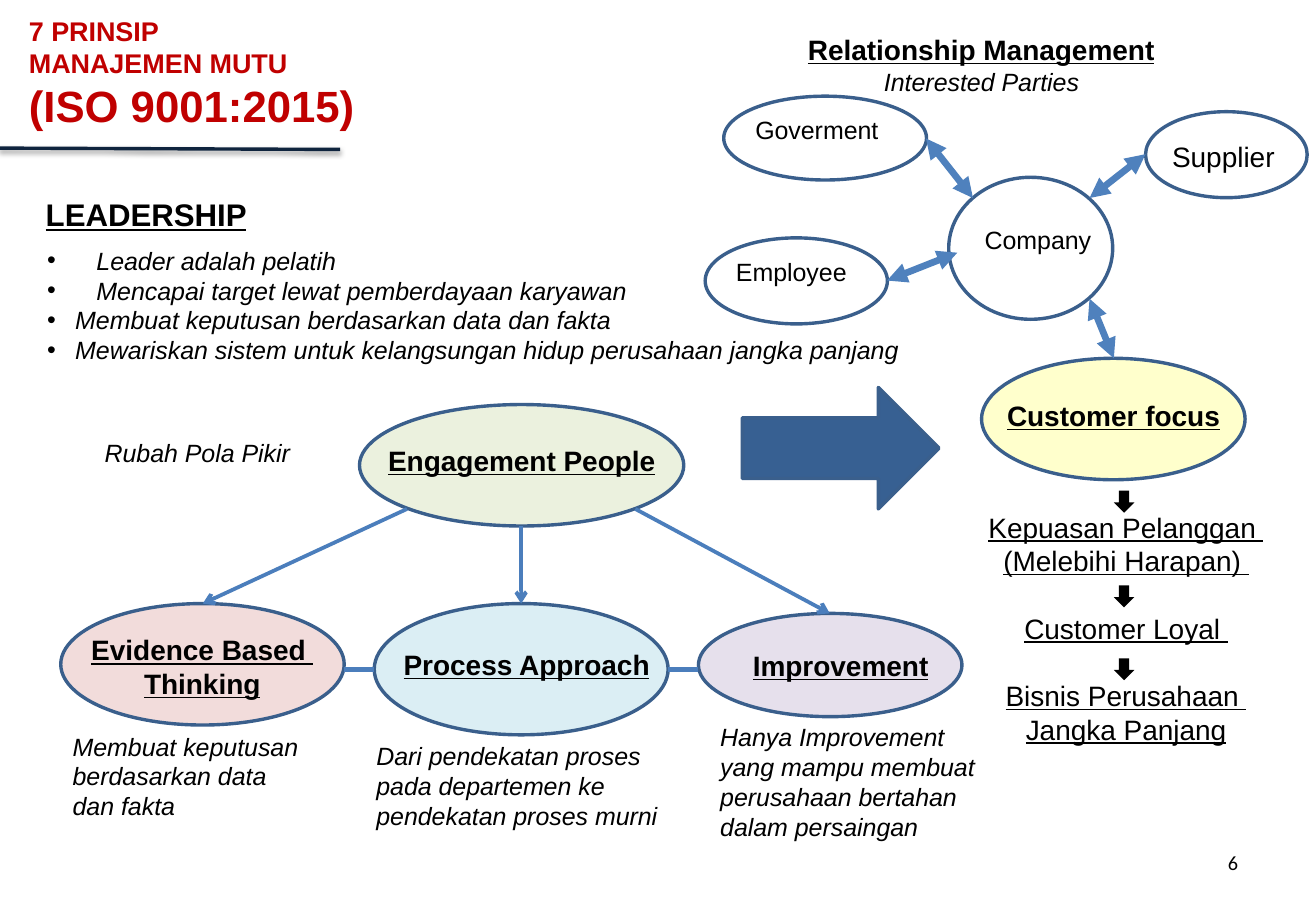
from lxml.etree import SubElement
from pptx import Presentation
from pptx.dml.color import RGBColor
from pptx.enum.shapes import MSO_CONNECTOR, MSO_SHAPE
from pptx.enum.text import PP_ALIGN
from pptx.oxml.ns import qn
from pptx.util import Pt

prs = Presentation()
prs.slide_width, prs.slide_height = Pt(780), Pt(540)
s = prs.slides.add_slide(prs.slide_layouts[6])

LEFT, CENTER, RIGHT = PP_ALIGN.LEFT, PP_ALIGN.CENTER, PP_ALIGN.RIGHT
OUTLINE, LINK, THICK_LINK = "3A5F8C", "4B7EBC", "4F81BD"


def paint(color_format, color):
    color_format.rgb = RGBColor.from_string(color)


def add_text(text, x, y, w, h, size=14.8, align=LEFT, bold=False, italic=False,
             underline=False, color="000000", font="Arial", wrap=True):
    tf = s.shapes.add_textbox(Pt(x), Pt(y), Pt(w), Pt(h)).text_frame
    tf.word_wrap = wrap
    tf.text = text
    for p in tf.paragraphs:
        p.alignment = align
        for r in p.runs:
            f = r.font
            f.name, f.size = font, Pt(size)
            f.bold, f.italic, f.underline = bold, italic, underline
            paint(f.color, color)
    return tf


# Title
tf = add_text("7 PRINSIP\nMANAJEMEN MUTU\n(ISO 9001:2015)", 10, 5, 278, 77,
              size=16, bold=True, color="C00000")
tf.paragraphs[2].runs[0].font.size = Pt(25.9)

# Ellipses and arrow shapes: kind, left, top, width, height, fill, outline
ELLIPSE, DOWN = MSO_SHAPE.OVAL, MSO_SHAPE.DOWN_ARROW
shapes = [
    (ELLIPSE, 213.1, 239.8, 192.2, 72, "EBF1DE", OUTLINE),
    (ELLIPSE, 36, 357.8, 168, 72, "F2DCDB", OUTLINE),
    (ELLIPSE, 221.8, 357.8, 174.2, 77.8, "DBEEF4", OUTLINE),
    (ELLIPSE, 414, 363.6, 156.2, 61.2, "E6E0EC", OUTLINE),
    (ELLIPSE, 581.8, 212.4, 156.2, 72, "FFFFCC", OUTLINE),
    (ELLIPSE, 418, 141, 108, 51, None, OUTLINE),
    (ELLIPSE, 679, 66.2, 95.8, 51, None, OUTLINE),
    (ELLIPSE, 429, 57, 120.2, 49.7, None, OUTLINE),
    (ELLIPSE, 562.3, 105.1, 97.2, 84.2, None, OUTLINE),
    (MSO_SHAPE.RIGHT_ARROW, 440, 229.7, 116.6, 72, "376092", OUTLINE),
]
shapes += [(DOWN, 660.2, y, 12.2, 13, "000000", None) for y in (290.9, 347, 390.2)]
for kind, x, y, w, h, fill, outline in shapes:
    sp = s.shapes.add_shape(kind, Pt(x), Pt(y), Pt(w), Pt(h))
    sp.shadow.inherit = False
    if fill:
        sp.fill.solid()
        paint(sp.fill.fore_color, fill)
    else:
        sp.fill.background()
    if outline:
        paint(sp.line.color, outline)
        sp.line.width = Pt(2)
    else:
        sp.line.fill.background()

# Connectors: x1, y1, x2, y2, color, width, head, tail
links = [
    (241.2, 301.7, 120.2, 357.8, LINK, 2.25, None, "arrow"),
    (376.6, 301.7, 491.8, 363.6, LINK, 2.25, None, "arrow"),
    (308.9, 311.8, 308.9, 357.8, LINK, 2.25, None, "arrow"),
    (203.8, 396.7, 221.8, 396.7, LINK, 3, None, None),
    (396, 396.7, 414, 396.7, LINK, 3, None, None),
    (548.9, 82.1, 576.7, 117.4, THICK_LINK, 4, "triangle", "triangle"),
    (525.8, 166.3, 567.4, 149.8, THICK_LINK, 4, "triangle", "triangle"),
    (645.8, 117.4, 679, 91.4, THICK_LINK, 4, "triangle", "triangle"),
    (660.2, 212.4, 645.8, 177.1, THICK_LINK, 4, "triangle", "triangle"),
    (201.6, 88.6, 0, 87.8, "0F243E", 2, None, None),
]
for x1, y1, x2, y2, color, width, head, tail in links:
    c = s.shapes.add_connector(MSO_CONNECTOR.STRAIGHT, Pt(x1), Pt(y1), Pt(x2), Pt(y2))
    paint(c.line.color, color)
    c.line.width = Pt(width)
    ln = c.line._get_or_add_ln()
    for tag, end in (("a:headEnd", head), ("a:tailEnd", tail)):
        if end:
            SubElement(ln, qn(tag), type=end)
    effects = SubElement(c._element.spPr, qn("a:effectLst"))

# Shadow under the title rule, the last connector
shadow = SubElement(effects, qn("a:outerShdw"), blurRad=str(Pt(3.1)),
                    dist=str(Pt(1.6)), dir="5400000", rotWithShape="0")
black = SubElement(shadow, qn("a:srgbClr"), val="000000")
SubElement(black, qn("a:alpha"), val="38000")

# Headings
headings = [
    ("Engagement People", 213.1, 259.2, 192.2, 27.4),
    ("Improvement", 390.2, 380.9, 216, 27.4),
    ("Process Approach", 216, 380.2, 192.2, 27.4),
    ("Evidence Based \nThinking", 23.8, 371.5, 192.2, 47.5),
    ("Customer focus", 563.8, 232.6, 192.2, 27.4),
    ("Relationship Management", 470.2, 15.8, 222.5, 27.4),
]
for text, x, y, w, h in headings:
    add_text(text, x, y, w, h, size=16.6, align=CENTER, bold=True, underline=True,
             wrap="Management" not in text)
add_text("LEADERSHIP", 20, 112.3, 192, 29.5, size=18.5, bold=True, underline=True)

# Leadership bullets
tf = add_text("Leader adalah pelatih\n"
              "Mencapai target lewat pemberdayaan karyawan\n"
              "Membuat keputusan berdasarkan data dan fakta\n"
              "Mewariskan sistem untuk kelangsungan hidup perusahaan jangka panjang",
              20.9, 141.8, 529.2, 79.2, italic=True)
for p, indent in zip(tf.paragraphs, (29.2, 29.2, 16.6, 16.6)):
    pPr = p._p.get_or_add_pPr()
    pPr.set("marL", str(Pt(indent)))
    pPr.set("indent", str(-Pt(indent)))
    SubElement(pPr, qn("a:buFont"), typeface="Arial")
    SubElement(pPr, qn("a:buChar"), char="•")

# Italic notes
notes = [
    ("Membuat keputusan berdasarkan data dan fakta", 36, 429.8, 156.2, 61.2, LEFT),
    ("Dari pendekatan proses pada departemen ke pendekatan proses murni",
     216, 435.6, 192.2, 61.2, LEFT),
    ("Hanya Improvement yang mampu membuat perusahaan bertahan dalam persaingan",
     419.8, 424.1, 180, 79.2, LEFT),
    ("Rubah Pola Pikir", 20.9, 255.6, 192.2, 25.2, CENTER),
    ("Interested Parties", 452.9, 36, 257.8, 25.2, CENTER),
]
for text, x, y, w, h, align in notes:
    add_text(text, x, y, w, h, align=align, italic=True)

# Interested parties
add_text("Employee", 429.1, 148.3, 145.4, 33.1)
add_text("Supplier", 687.6, 79.2, 80.6, 22.3, size=16.6)
add_text("Goverment", 440.6, 64.1, 118.1, 32.4)
add_text("Company", 555.1, 129.6, 120.2, 23.8, align=CENTER)

# Customer outcome chain
tf = add_text("Kepuasan Pelanggan \n(Melebihi Harapan) \nCustomer Loyal \n"
              "Bisnis Perusahaan \nJangka Panjang", 577.4, 298.8, 180, 148.3,
              size=16.6, align=CENTER, underline=True, wrap=False)
for i in (2, 3):
    tf.paragraphs[i].space_before = Pt(20)

# Page number
add_text("6", 558.7, 500.4, 182.2, 28.8, size=12, align=RIGHT, font="Calibri")

prs.save("out.pptx")
